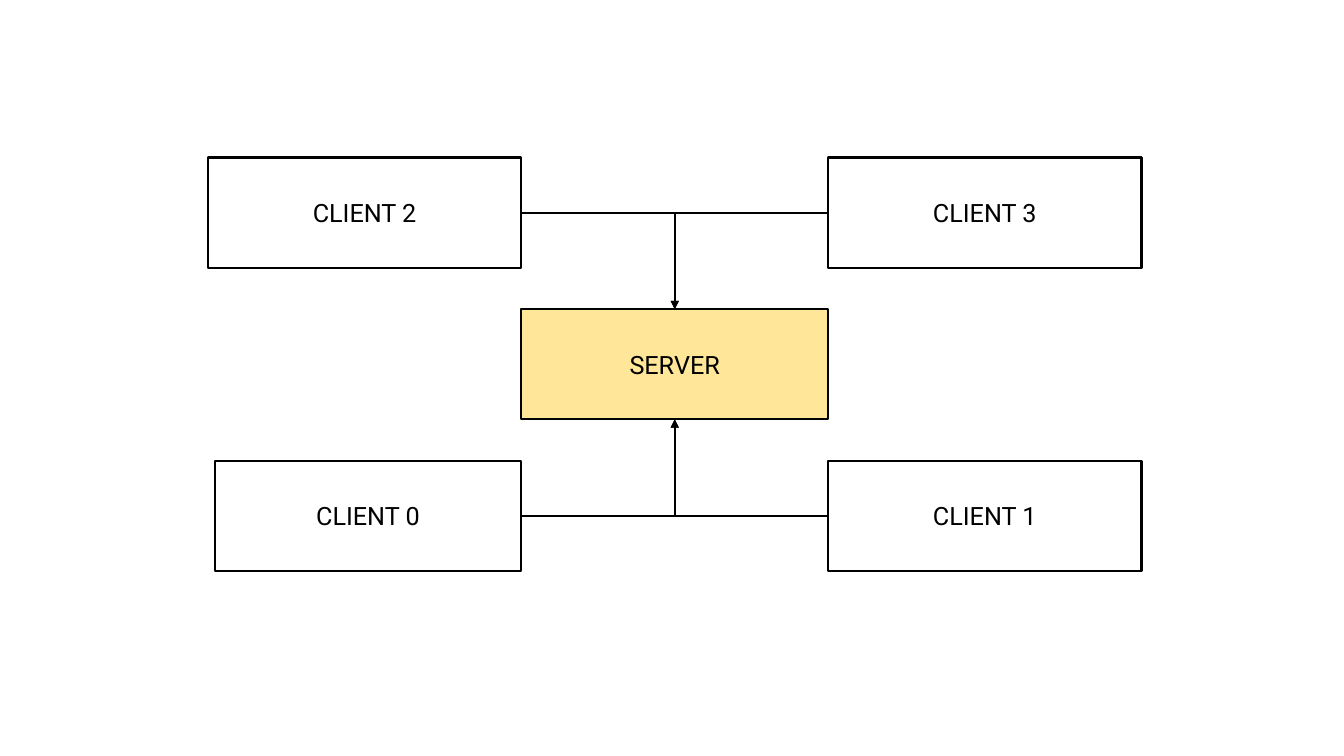
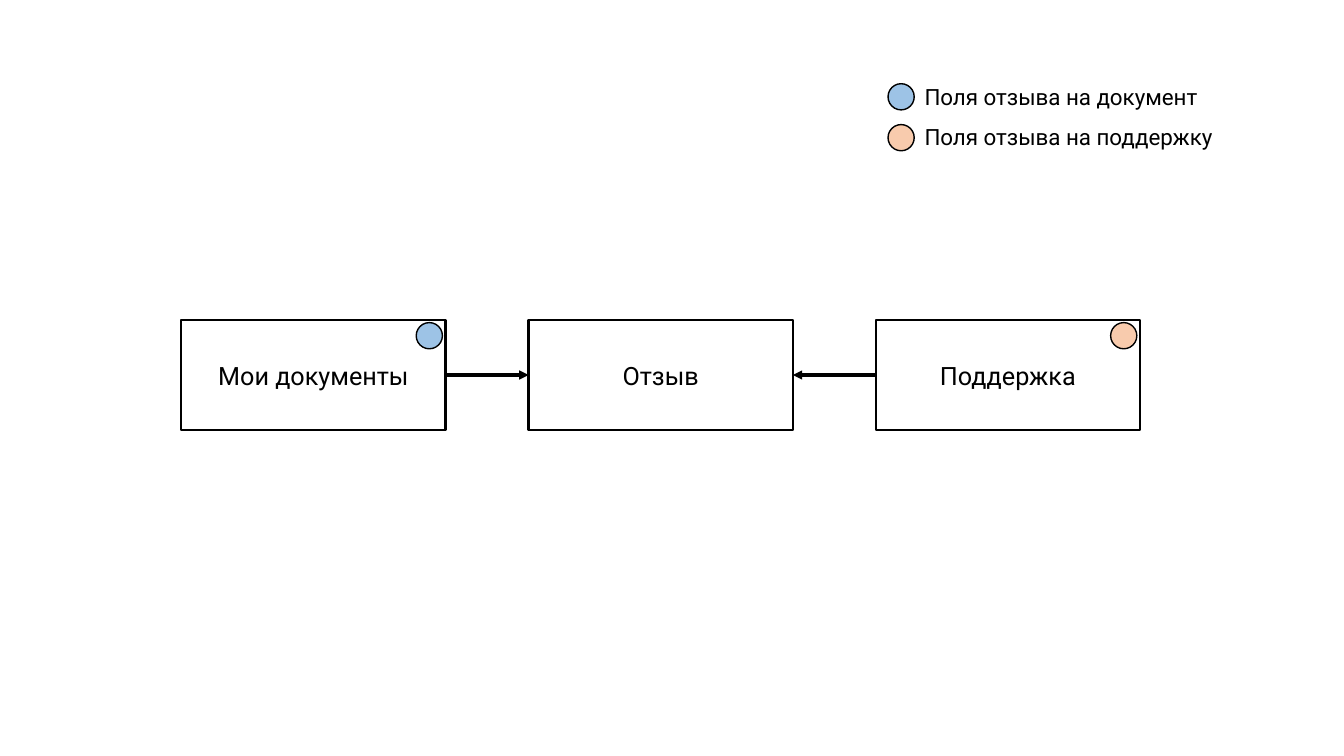
import pptx
import pptx.util
import pptx.dml.color
import pptx.enum.shapes
import pptx.enum.text
import pptx.oxml.ns
import lxml.etree

Cm = pptx.util.Cm
SHAPES = pptx.enum.shapes.MSO_SHAPE
CONNECTORS = pptx.enum.shapes.MSO_CONNECTOR
FONT = "Roboto"
COLORS = {
    "ink": "000000",
    "paper": "FFFFFF",
    "server": "FFE699",
    "document": "9DC3E6",
    "support": "F8CBAD",
}
TOP, LEFT, BOTTOM, RIGHT = range(4)
BOX_HEIGHT = 2.78
MARKER_SIZE = 0.66


def color(name):
    return pptx.dml.color.RGBColor.from_string(COLORS[name])


def add_text(frame, text, size):
    para = frame.paragraphs[0]
    span = para.add_run()
    span.text = text
    span.font.name = FONT
    span.font.size = pptx.util.Pt(size)
    span.font.color.rgb = color("ink")
    return para


def add_figure(page, kind, left, top, width, height, fill, line_width):
    figure = page.shapes.add_shape(kind, Cm(left), Cm(top), Cm(width), Cm(height))
    figure.shadow.inherit = False
    figure.fill.solid()
    figure.fill.fore_color.rgb = color(fill)
    figure.line.color.rgb = color("ink")
    figure.line.width = pptx.util.Pt(line_width)
    return figure


def add_box(page, text, left, top, width, fill="paper"):
    box = add_figure(page, SHAPES.RECTANGLE, left, top, width, BOX_HEIGHT, fill, 1.5)
    box.text_frame.word_wrap = True
    box.text_frame.vertical_anchor = pptx.enum.text.MSO_ANCHOR.MIDDLE
    para = add_text(box.text_frame, text, 18)
    para.alignment = pptx.enum.text.PP_ALIGN.CENTER
    return box


def add_marker(page, left, top, fill):
    add_figure(page, SHAPES.OVAL, left, top, MARKER_SIZE, MARKER_SIZE, fill, 1)


def add_arrow(page, source, source_side, target, target_side, width, bent=False):
    kind = CONNECTORS.ELBOW if bent else CONNECTORS.STRAIGHT
    arrow = page.shapes.add_connector(kind, 0, 0, 0, 0)
    arrow.begin_connect(source, source_side)
    arrow.end_connect(target, target_side)
    arrow.line.color.rgb = color("ink")
    arrow.line.width = pptx.util.Pt(width)
    properties = arrow._element.spPr
    if bent:
        properties.find(pptx.oxml.ns.qn("a:prstGeom")).set("prst", "bentConnector2")
    line = properties.find(pptx.oxml.ns.qn("a:ln"))
    lxml.etree.SubElement(line, pptx.oxml.ns.qn("a:tailEnd"), type="triangle")
    lxml.etree.SubElement(properties, pptx.oxml.ns.qn("a:effectLst"))


def add_network(page, left, top):
    server_width, client_width, row_pitch = 7.73, 7.9, 3.82
    server_left = left + client_width
    server_right = server_left + server_width
    server = add_box(page, "SERVER", server_left, top + row_pitch, server_width, "server")
    rows = [
        (0, TOP, ("CLIENT 2", client_width), ("CLIENT 3", client_width)),
        (2, BOTTOM, ("CLIENT 0", server_width), ("CLIENT 1", client_width)),
    ]
    for row, server_side, (left_name, left_width), (right_name, right_width) in rows:
        row_top = top + row * row_pitch
        left_client = add_box(page, left_name, server_left - left_width, row_top, left_width)
        right_client = add_box(page, right_name, server_right, row_top, right_width)
        for client, side in ((left_client, RIGHT), (right_client, LEFT)):
            add_arrow(page, client, side, server, server_side, 1.25, bent=True)


def add_feedback_flow(page, left, top):
    width, pitch = 6.66, 8.75
    marker_left, marker_top = 5.92, 0.07
    names = ("Мои документы", "Отзыв", "Поддержка")
    documents, feedback, support = [
        add_box(page, name, left + index * pitch, top, width)
        for index, name in enumerate(names)
    ]
    add_arrow(page, documents, RIGHT, feedback, LEFT, 2.25)
    add_arrow(page, support, LEFT, feedback, RIGHT, 2.25)
    for index, fill in ((0, "document"), (2, "support")):
        add_marker(page, left + index * pitch + marker_left, top + marker_top, fill)


def add_legend(page, left, top):
    pitch, text_left, text_height, marker_top = 1.03, 0.67, 0.94, 0.15
    entries = [
        ("Поля отзыва на документ", "document", 7.62),
        ("Поля отзыва на поддержку", "support", 8.03),
    ]
    for index, (text, fill, width) in enumerate(entries):
        row_top = top + index * pitch
        add_marker(page, left, row_top + marker_top, fill)
        label = page.shapes.add_textbox(
            Cm(left + text_left), Cm(row_top), Cm(width), Cm(text_height)
        )
        label.text_frame.word_wrap = False
        label.text_frame.auto_size = pptx.enum.text.MSO_AUTO_SIZE.SHAPE_TO_FIT_TEXT
        add_text(label.text_frame, text, 16)


def add_page(deck):
    page = deck.slides.add_slide(deck.slide_layouts[6])
    page.background.fill.solid()
    page.background.fill.fore_color.rgb = color("paper")
    return page


def main():
    deck = pptx.Presentation()
    deck.slide_width = Cm(33.87)
    deck.slide_height = Cm(19.05)
    add_network(add_page(deck), 5.24, 3.97)
    feedback_page = add_page(deck)
    add_feedback_flow(feedback_page, 4.57, 8.06)
    add_legend(feedback_page, 22.38, 1.96)
    deck.save("out.pptx")


if __name__ == "__main__":
    main()
